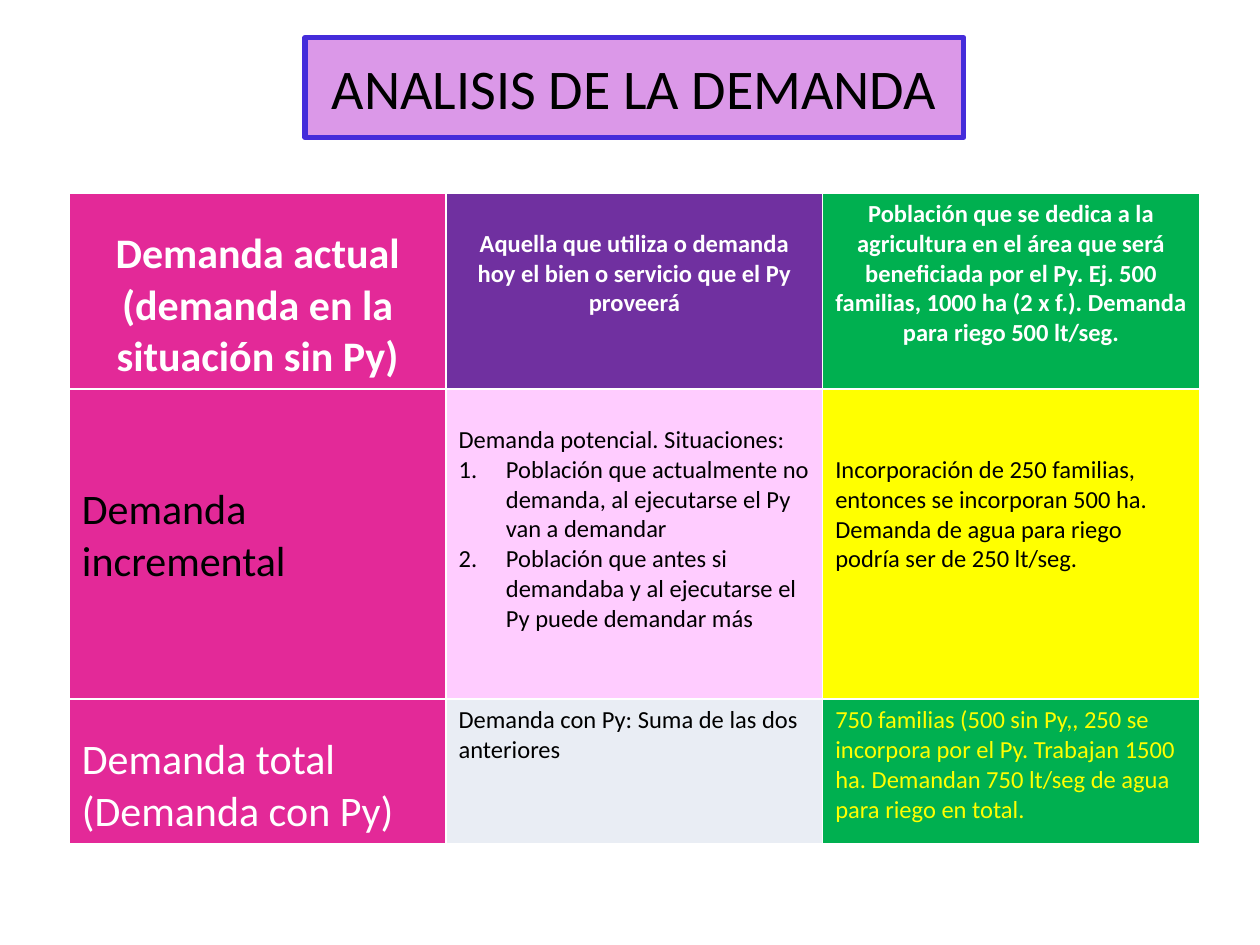
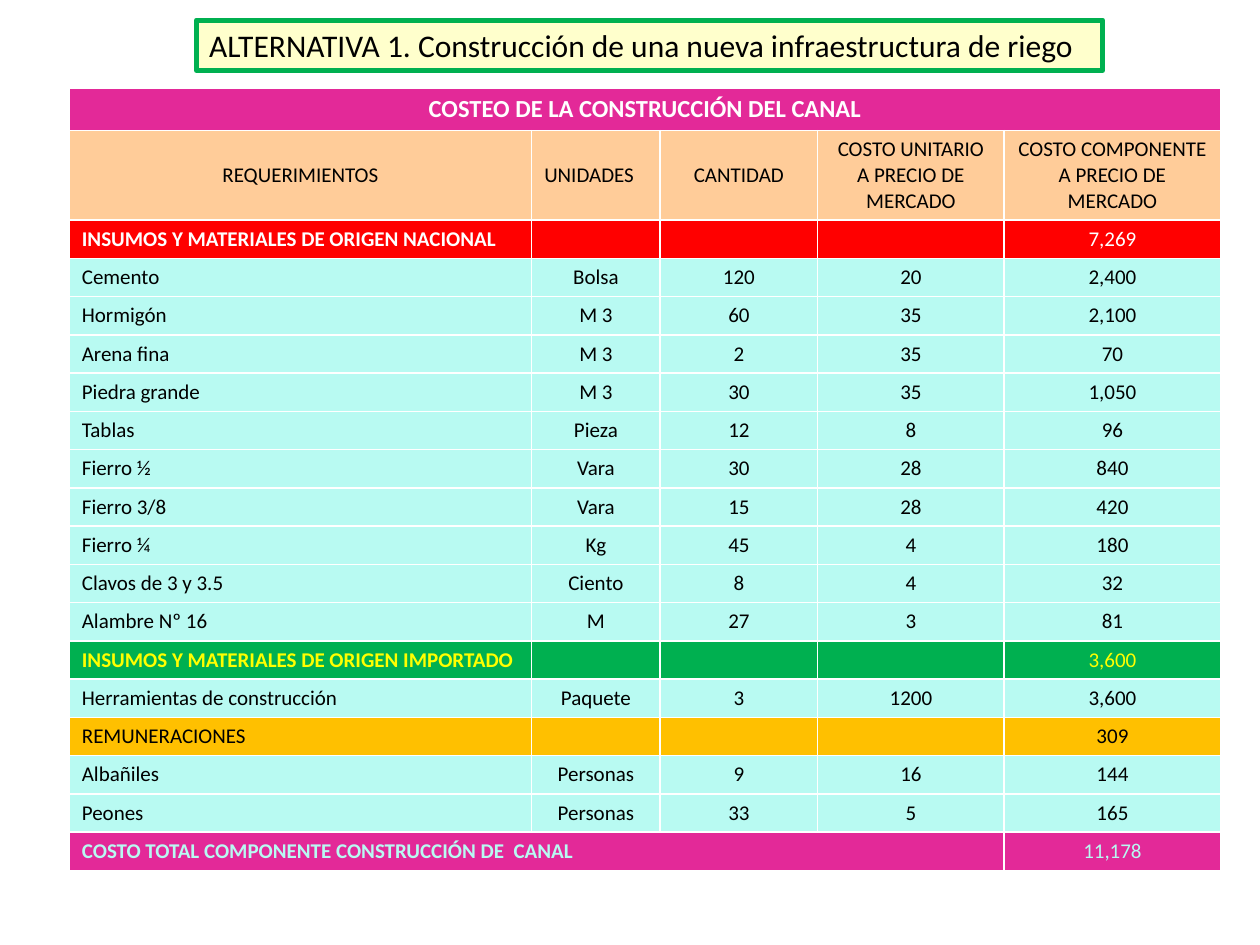
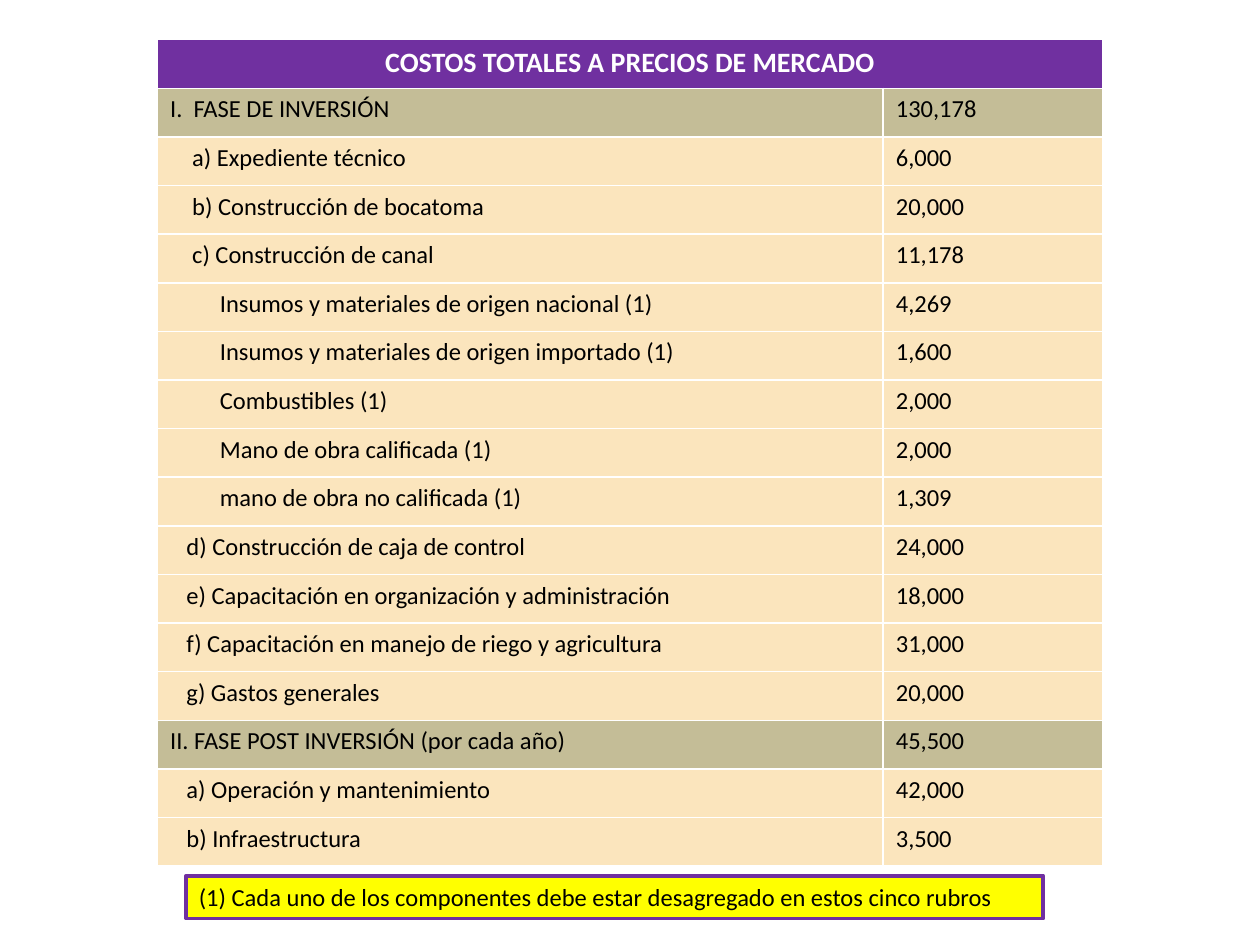
import pptx
import pptx.util
import pptx.dml.color
import pptx.enum.text
import pptx.enum.shapes
import pptx.oxml.ns
import lxml.etree

FONT = "Calibri"
COLS, ROWS = 100, 75
LINE = 1.22
LEFT = pptx.enum.text.PP_ALIGN.LEFT
MID = pptx.enum.text.PP_ALIGN.CENTER
BLACK, WHITE, YELLOW = "000000", "FFFFFF", "FFFF00"
PINK, PURPLE, GREEN = "E32998", "7030A0", "00B050"
AQUA, PEACH, SAND, KHAKI = "B8FAF2", "FFCC99", "FBE5BD", "C4BD97"


def color(code):
    return pptx.dml.color.RGBColor.from_string(code)


class Deck:
    def __init__(self):
        self.file = pptx.Presentation()
        self.file.slide_width = pptx.util.Inches(10)
        self.file.slide_height = pptx.util.Inches(7.5)
        self.slide = None

    def x(self, cols):
        return round(self.file.slide_width * cols / COLS)

    def y(self, rows):
        return round(self.file.slide_height * rows / ROWS)

    def add(self, layout):
        self.slide = self.file.slides.add_slide(self.file.slide_layouts[layout])

    def label(self, par, text, size, ink=BLACK, bold=False, align=LEFT):
        par.alignment = align
        run = par.add_run()
        run.text = text
        run.font.name = FONT
        run.font.size = pptx.util.Pt(size)
        run.font.bold = bold
        run.font.color.rgb = color(ink)

    def frame(self, shape, area, text, size, fill, edge, width, align=LEFT):
        left, top, wide, high = area
        shape.left, shape.top = self.x(left), self.y(top)
        shape.width, shape.height = self.x(wide), self.y(high)
        shape.fill.solid()
        shape.fill.fore_color.rgb = color(fill)
        shape.line.color.rgb = color(edge)
        shape.line.width = pptx.util.Pt(width)
        body = shape.text_frame
        body.word_wrap = True
        body.auto_size = pptx.enum.text.MSO_AUTO_SIZE.NONE
        body.vertical_anchor = pptx.enum.text.MSO_ANCHOR.MIDDLE
        self.label(body.paragraphs[0], text, size, align=align)

    def title(self, *style, **more):
        self.add(5)
        self.frame(self.slide.shapes.title, *style, **more)

    def box(self, area, *style):
        kind = pptx.enum.shapes.MSO_SHAPE.RECTANGLE
        shape = self.slide.shapes.add_shape(kind, 0, 0, self.x(1), self.y(1))
        shape.shadow.inherit = False
        self.frame(shape, area, *style)

    def table(self, left, top, wides, highs):
        grid = self.slide.shapes.add_table(
            len(highs), len(wides), self.x(left), self.y(top),
            self.x(sum(wides)), self.y(sum(highs))).table
        for col, wide in zip(grid.columns, wides):
            col.width = self.x(wide)
        for row, high in zip(grid.rows, highs):
            row.height = self.y(high)
        return grid

    def cell(self, cell, text, fill, size, ink=BLACK, bold=False,
             align=LEFT, skip=0, unit=None, indent=0):
        cell.fill.solid()
        cell.fill.fore_color.rgb = color(fill)
        drop = skip * LINE * (unit or size)
        cell.margin_top = pptx.util.Inches(0.05) + pptx.util.Pt(drop)
        par = cell.text_frame.paragraphs[0]
        if text:
            self.label(par, text, size, ink, bold, align)
        else:
            end = lxml.etree.SubElement(par._p, pptx.oxml.ns.qn("a:endParaRPr"))
            end.set("sz", str(size * 100))
        if indent:
            par._p.get_or_add_pPr().set("marL", str(self.x(indent)))

    def steps(self, cell, items, size):
        for item in items:
            par = cell.text_frame.add_paragraph()
            self.label(par, item, size)
            props = par._p.get_or_add_pPr()
            props.set("marL", str(self.x(3.75)))
            props.set("indent", str(-self.x(3.75)))
            mark = lxml.etree.SubElement(props, pptx.oxml.ns.qn("a:buAutoNum"))
            mark.set("type", "arabicPeriod")


def demand(deck):
    deck.title((24.2, 3, 52.3, 7.9), "ANALISIS DE LA DEMANDA", 32,
               "DB98E8", "452CDA", 3, align=MID)
    rows = [
        [("Demanda actual (demanda en la situación sin Py)", PINK, WHITE, 1),
         ("Aquella que utiliza o demanda hoy el bien o servicio que el Py "
          "proveerá", PURPLE, WHITE, 1),
         ("Población que se dedica a la agricultura en el área que será "
          "beneficiada por el Py. Ej. 500 familias, 1000 ha (2 x f.). "
          "Demanda para riego 500 lt/seg.", GREEN, WHITE, 0)],
        [("Demanda incremental", PINK, BLACK, 3),
         ("Demanda potencial. Situaciones:", "FFCCFF", BLACK, 1),
         ("Incorporación de 250 familias, entonces se incorporan 500 ha. "
          "Demanda de agua para riego podría ser de 250 lt/seg.",
          YELLOW, BLACK, 2)],
        [("Demanda total (Demanda con Py)", PINK, WHITE, 1),
         ("Demanda con Py: Suma de las dos anteriores", "E9EDF4", BLACK, 0),
         ("750 familias (500 sin Py,, 250 se incorpora por el Py. Trabajan "
          "1500 ha. Demandan 750 lt/seg de agua para riego en total.",
          GREEN, YELLOW, 0)],
    ]
    grid = deck.table(5.5, 15.3, [29.9] * 3, [15.5, 24.6, 11.5])
    for r, row in enumerate(rows):
        for c, (text, fill, ink, skip) in enumerate(row):
            deck.cell(grid.cell(r, c), text, fill, 14 if c else 24, ink,
                      bold=r == 0, align=LEFT if r else MID,
                      skip=skip, unit=14)
    deck.steps(grid.cell(1, 1), [
        "Población que actualmente no demanda, al ejecutarse el Py van a "
        "demandar",
        "Población que antes si demandaba y al ejecutarse el Py puede "
        "demandar más"], 14)


def canal(deck):
    deck.title((15.6, 1.6, 71.9, 4),
               "ALTERNATIVA 1. Construcción de una nueva infraestructura "
               "de riego", 18, "FFFFCC", GREEN, 3)
    heads = [("REQUERIMIENTOS", MID, 1), ("UNIDADES", LEFT, 1),
             ("CANTIDAD", MID, 1),
             ("COSTO UNITARIO A PRECIO DE MERCADO", MID, 0),
             ("COSTO COMPONENTE A PRECIO DE MERCADO", MID, 0)]
    total = "COSTO TOTAL COMPONENTE CONSTRUCCIÓN DE  CANAL"
    bands = {
        "INSUMOS Y MATERIALES DE ORIGEN NACIONAL": ("FF0000", WHITE, True),
        "INSUMOS Y MATERIALES DE ORIGEN IMPORTADO": (GREEN, YELLOW, True),
        "REMUNERACIONES": ("FFC000", BLACK, False),
        total: (PINK, AQUA, True),
    }
    rows = [
        ("INSUMOS Y MATERIALES DE ORIGEN NACIONAL", "", "", "", "7,269"),
        ("Cemento", "Bolsa", "120", "20", "2,400"),
        ("Hormigón", "M 3", "60", "35", "2,100"),
        ("Arena fina", "M 3", "2", "35", "70"),
        ("Piedra grande", "M 3", "30", "35", "1,050"),
        ("Tablas", "Pieza", "12", "8", "96"),
        ("Fierro ½", "Vara", "30", "28", "840"),
        ("Fierro 3/8", "Vara", "15", "28", "420"),
        ("Fierro ¼", "Kg", "45", "4", "180"),
        ("Clavos de 3 y 3.5", "Ciento", "8", "4", "32"),
        ("Alambre Nº 16", "M", "27", "3", "81"),
        ("INSUMOS Y MATERIALES DE ORIGEN IMPORTADO", "", "", "", "3,600"),
        ("Herramientas de construcción", "Paquete", "3", "1200", "3,600"),
        ("REMUNERACIONES", "", "", "", "309"),
        ("Albañiles", "Personas", "9", "16", "144"),
        ("Peones", "Personas", "33", "5", "165"),
        (total, "", "", "", "11,178"),
    ]
    grid = deck.table(5.5, 7, [36.7, 10.2, 12.5, 14.8, 17.2],
                      [3.37, 7.1] + [3.03] * len(rows))
    last = len(rows) + 1
    grid.cell(0, 0).merge(grid.cell(0, 4))
    grid.cell(last, 0).merge(grid.cell(last, 3))
    deck.cell(grid.cell(0, 0), "COSTEO DE LA CONSTRUCCIÓN DEL CANAL", PINK,
              14, WHITE, True, MID)
    for c, (text, align, skip) in enumerate(heads):
        deck.cell(grid.cell(1, c), text, PEACH, 12, align=align, skip=skip)
    for r, row in enumerate(rows, 2):
        fill, ink, bold = bands.get(row[0], (AQUA, BLACK, False))
        for c, text in enumerate(row):
            deck.cell(grid.cell(r, c), text, fill, 12, ink,
                      bold and c == 0, MID if c else LEFT)


def costs(deck):
    deck.add(6)
    rows = [
        ("I.  FASE DE INVERSIÓN", "130,178", 0),
        ("a) Expediente técnico", "6,000", 1.75),
        ("b) Construcción de bocatoma", "20,000", 1.75),
        ("c) Construcción de canal", "11,178", 1.75),
        ("Insumos y materiales de origen nacional (1)", "4,269", 3.95),
        ("Insumos y materiales de origen importado (1)", "1,600", 3.95),
        ("Combustibles (1)", "2,000", 3.95),
        ("Mano de obra calificada (1)", "2,000", 3.95),
        ("mano de obra no calificada (1)", "1,309", 3.95),
        ("d) Construcción de caja de control", "24,000", 1.3),
        ("e) Capacitación en organización y administración", "18,000", 1.3),
        ("f) Capacitación en manejo de riego y agricultura", "31,000", 1.3),
        ("g) Gastos generales", "20,000", 1.3),
        ("II. FASE POST INVERSIÓN (por cada año)", "45,500", 0),
        ("a) Operación y mantenimiento", "42,000", 1.3),
        ("b) Infraestructura", "3,500", 1.3),
    ]
    grid = deck.table(12.5, 3.15, [57.6, 17.4], [3.86] * (len(rows) + 1))
    grid.cell(0, 0).merge(grid.cell(0, 1))
    deck.cell(grid.cell(0, 0), "COSTOS TOTALES A PRECIOS DE MERCADO", PURPLE,
              16, WHITE, True, MID)
    for r, (name, cost, indent) in enumerate(rows, 1):
        fill = SAND if indent else KHAKI
        deck.cell(grid.cell(r, 0), name, fill, 14, indent=indent)
        deck.cell(grid.cell(r, 1), cost, fill, 14)
    deck.box((14.8, 69.5, 68, 3.4),
             "(1) Cada uno de los componentes debe estar desagregado en "
             "estos cinco rubros", 14, YELLOW, PURPLE, 2.25)


def main():
    deck = Deck()
    for page in (demand, canal, costs):
        page(deck)
    deck.file.save("out.pptx")


if __name__ == "__main__":
    main()
